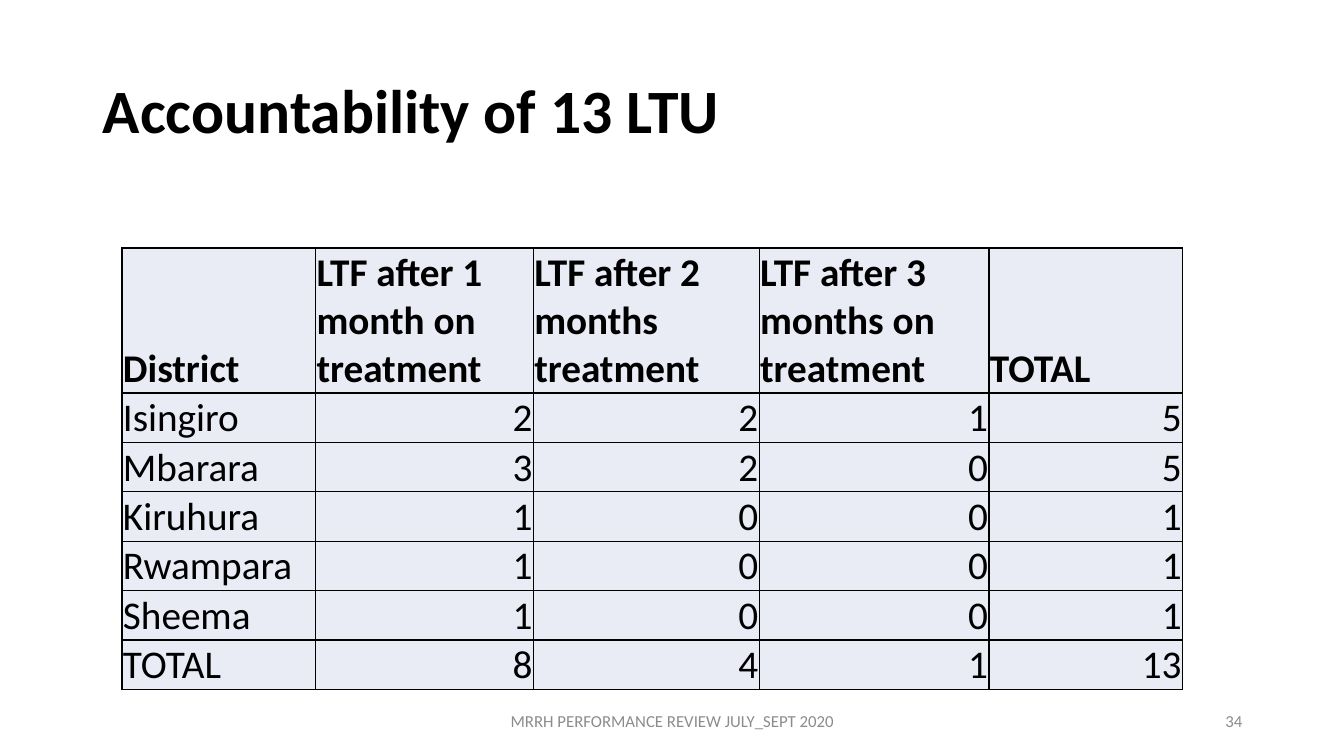
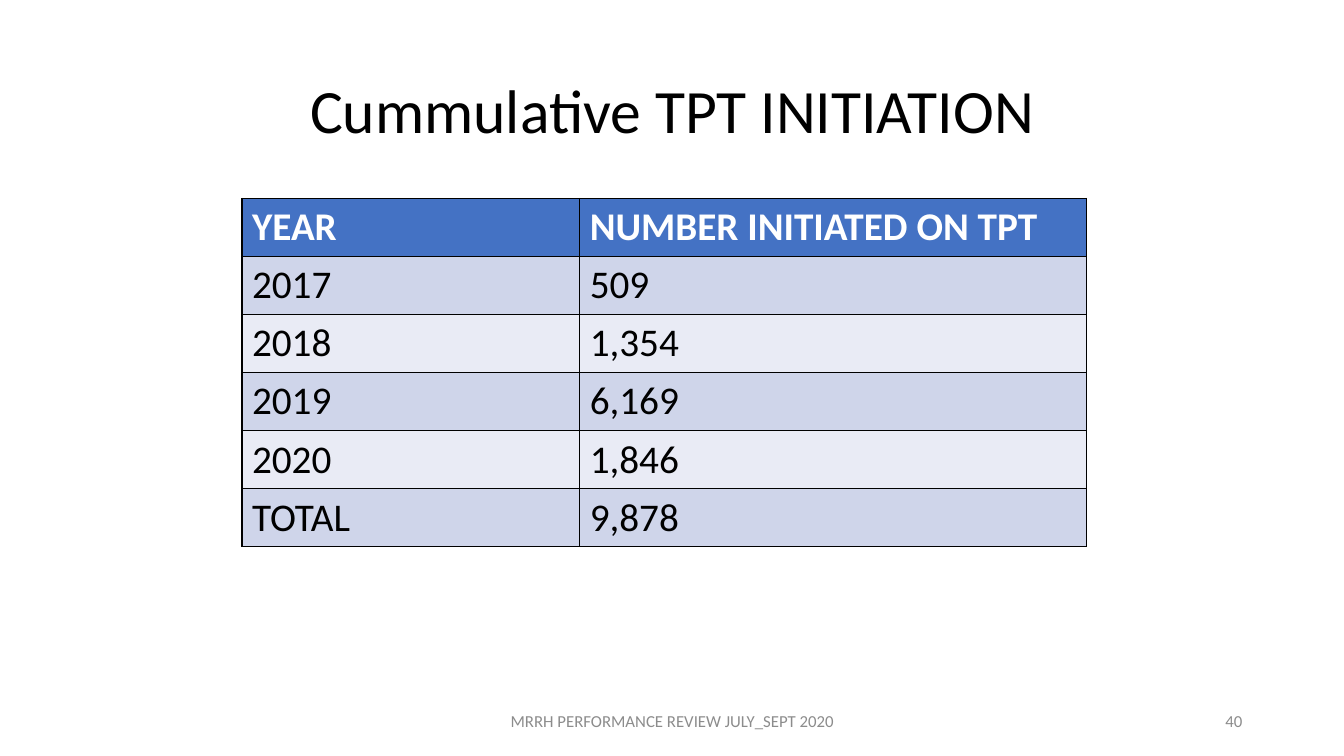
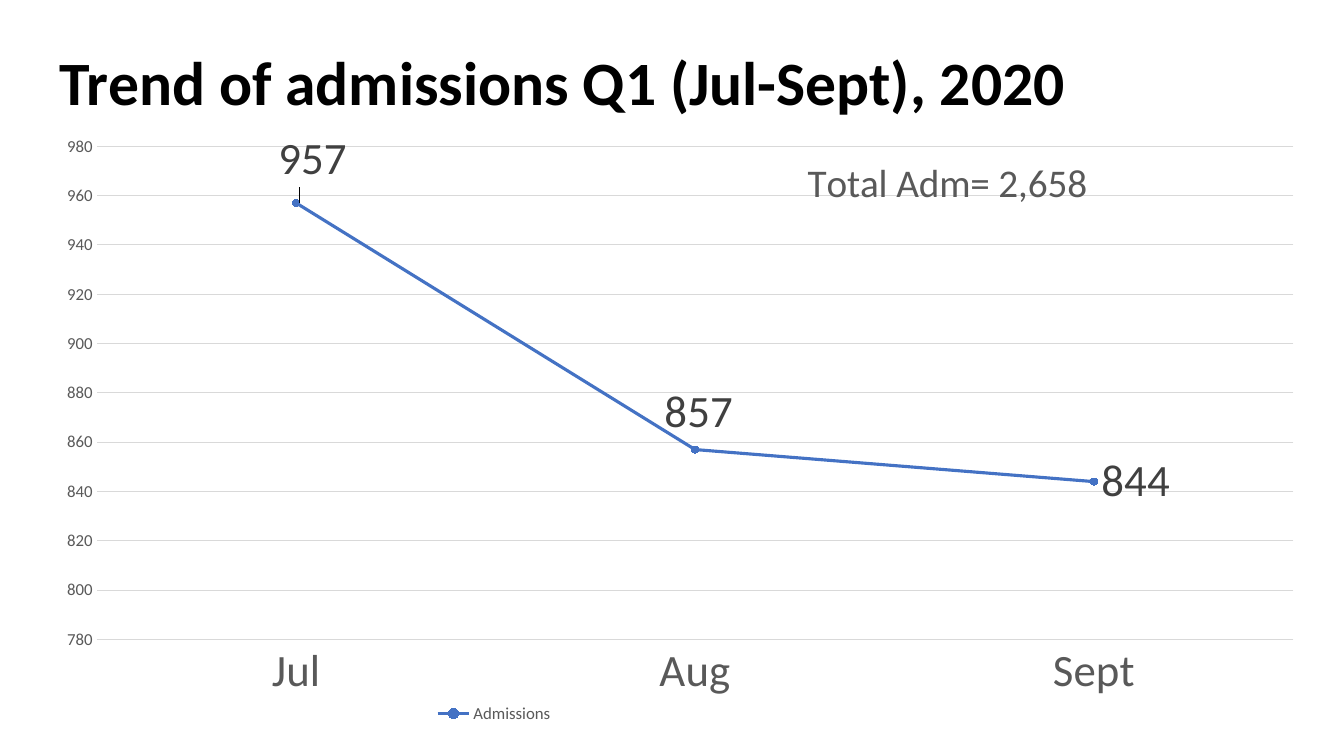
from lxml.etree import SubElement
from pptx import Presentation
from pptx.chart.data import CategoryChartData
from pptx.dml.color import RGBColor
from pptx.enum.chart import (XL_CHART_TYPE, XL_LABEL_POSITION, XL_LEGEND_POSITION,
                             XL_MARKER_STYLE, XL_TICK_MARK)
from pptx.enum.text import MSO_ANCHOR, PP_ALIGN
from pptx.oxml import parse_xml
from pptx.oxml.ns import nsdecls, qn
from pptx.util import Inches, Pt

BLACK = RGBColor(0x00, 0x00, 0x00)
WHITE = RGBColor(0xFF, 0xFF, 0xFF)
BLUE = RGBColor(0x44, 0x72, 0xC4)
BAND_DARK = RGBColor(0xCF, 0xD5, 0xEA)
BAND_LIGHT = RGBColor(0xE9, 0xEB, 0xF5)
FOOTER_GREY = RGBColor(0x8C, 0x8C, 0x8C)
AXIS_GREY = RGBColor(0x59, 0x59, 0x59)
LABEL_GREY = RGBColor(0x40, 0x40, 0x40)
GRID_GREY = RGBColor(0xD9, 0xD9, 0xD9)
FONT = "Calibri"

FOOTER = "MRRH PERFORMANCE REVIEW JULY_SEPT 2020"
TITLE_BOX = (0.92, 0.4, 11.5, 1.45)

LOST = [
    ("District", "LTF after 1 month on treatment", "LTF after 2 months treatment",
     "LTF after 3 months on treatment", "TOTAL"),
    ("Isingiro", "2", "2", "1", "5"),
    ("Mbarara", "3", "2", "0", "5"),
    ("Kiruhura", "1", "0", "0", "1"),
    ("Rwampara", "1", "0", "0", "1"),
    ("Sheema", "1", "0", "0", "1"),
    ("TOTAL", "8", "4", "1", "13"),
]
INITIATED = [
    ("YEAR", "NUMBER INITIATED ON TPT"),
    ("2017", "509"),
    ("2018", "1,354"),
    ("2019", "6,169"),
    ("2020", "1,846"),
    ("TOTAL", "9,878"),
]
ADMISSIONS = {"Jul": 957, "Aug": 857, "Sept": 844}
LABEL_SHIFTS = [(-0.02, -0.07), (-0.03, -0.06), None]


def style(font, size, color, bold=False):
    font.name, font.size, font.bold = FONT, Pt(size), bold
    font.color.rgb = color


def inches(box):
    return [Inches(length) for length in box]


def add_titled_slide(deck, title, box=TITLE_BOX, bold=True, align=PP_ALIGN.LEFT):
    slide = deck.slides.add_slide(deck.slide_layouts[5])
    heading = slide.shapes.title
    heading.left, heading.top, heading.width, heading.height = inches(box)
    frame = heading.text_frame
    frame.text = title
    frame.vertical_anchor = MSO_ANCHOR.MIDDLE
    paragraph = frame.paragraphs[0]
    paragraph.alignment, paragraph.line_spacing = align, 0.9
    style(paragraph.font, 44, BLACK, bold)
    return slide


def add_footer(slide, number):
    for text, left, width, align in ((FOOTER, 4.42, 4.5, PP_ALIGN.CENTER),
                                     (number, 9.42, 3, PP_ALIGN.RIGHT)):
        frame = slide.shapes.add_textbox(*inches((left, 6.95, width, 0.4))).text_frame
        frame.word_wrap = True
        frame.vertical_anchor = MSO_ANCHOR.MIDDLE
        frame.text = text
        frame.paragraphs[0].alignment = align
        style(frame.paragraphs[0].font, 12, FOOTER_GREY)


def add_borders(cell):
    properties = cell._tc.get_or_add_tcPr()
    for side in ("lnL", "lnR", "lnT", "lnB"):
        line = SubElement(properties, qn(f"a:{side}"), w=str(Pt(1)))
        SubElement(SubElement(line, qn("a:solidFill")), qn("a:srgbClr"), val=str(BLACK))


def add_grid(slide, rows, left, top, widths, heights, fills, head_color, compact=False):
    grid = slide.shapes.add_table(
        len(rows), len(widths), *inches((left, top, sum(widths), sum(heights)))).table
    grid.horz_banding = False
    for column, width in zip(grid.columns, widths):
        column.width = Inches(width)
    for r, texts in enumerate(rows):
        grid.rows[r].height = Inches(heights[r])
        for c, text in enumerate(texts):
            cell = grid.cell(r, c)
            cell.text = text
            add_borders(cell)
            cell.fill.solid()
            cell.fill.fore_color.rgb = fills[r]
            paragraph = cell.text_frame.paragraphs[0]
            style(paragraph.font, 28, BLACK if r else head_color, r == 0)
            if compact:
                cell.vertical_anchor = MSO_ANCHOR.BOTTOM
                cell.margin_left = cell.margin_right = cell.margin_top = Inches(0.01)
                cell.margin_bottom = 0
                if r and c:
                    paragraph.alignment = PP_ALIGN.RIGHT


def place(part, index, x, y, size=None, inner=False):
    for old in part.findall(qn("c:layout")):
        part.remove(old)
    values = {"layoutTarget": "inner"} if inner else {}
    if size or part.tag != qn("c:dLbl"):
        values.update(xMode="edge", yMode="edge")
    values.update(x=x, y=y)
    if size:
        values.update(w=size[0], h=size[1])
    fields = "".join(f'<c:{key} val="{value}"/>' for key, value in values.items())
    part.insert(index, parse_xml(
        f'<c:layout {nsdecls("c")}><c:manualLayout>{fields}</c:manualLayout></c:layout>'))


def add_point_labels(series):
    labels = series.data_labels
    labels.show_value = True
    labels.position = XL_LABEL_POSITION.RIGHT
    style(labels.font, 32, LABEL_GREY)
    for i, shift in enumerate(LABEL_SHIFTS):
        label = series.points[i].data_label
        style(label.font, 32, LABEL_GREY)
        label.position = XL_LABEL_POSITION.RIGHT
        if shift:
            place(series._element.findall(".//" + qn("c:dLbl"))[i], 1, *shift)
    series._element.find(qn("c:dLbls")).append(parse_xml(
        f'<c:extLst {nsdecls("c")}><c:ext uri="{{CE6537A1-D6FC-4f65-9D91-7224C49458BB}}" '
        'xmlns:c15="http://schemas.microsoft.com/office/drawing/2012/chart">'
        '<c15:showLeaderLines val="1"/></c:ext></c:extLst>'))


def add_trend(slide):
    data = CategoryChartData()
    data.categories = list(ADMISSIONS)
    data.add_series("Admissions", list(ADMISSIONS.values()))
    trend = slide.shapes.add_chart(
        XL_CHART_TYPE.LINE_MARKERS, *inches((0.38, 1.29, 12.6, 6.21)), data).chart
    style(trend.font, 10, BLACK)

    trend.has_title = True
    total = trend.chart_title.text_frame
    total.text = "Total Adm= 2,658"
    style(total.paragraphs[0].font, 28, AXIS_GREY)
    place(trend.chart_title._element, 1, 0.6, 0.03)
    place(trend._chartSpace.chart.plotArea, 0, 0.046, 0.026, (0.942, 0.788), inner=True)

    trend.has_legend = True
    trend.legend.position = XL_LEGEND_POSITION.BOTTOM
    trend.legend.include_in_layout = False
    style(trend.legend.font, 12, AXIS_GREY)
    place(trend.legend._element, 1, 0.31, 0.91)

    months, counts = trend.category_axis, trend.value_axis
    for axis, size in ((months, 32), (counts, 12)):
        axis.major_tick_mark = axis.minor_tick_mark = XL_TICK_MARK.NONE
        style(axis.tick_labels.font, size, AXIS_GREY)
    counts.minimum_scale, counts.maximum_scale, counts.major_unit = 780, 980, 20
    counts.format.line.fill.background()
    for line in (months.format.line, counts.major_gridlines.format.line):
        line.width = Pt(0.75)
        line.color.rgb = GRID_GREY

    trend.plots[0].vary_by_categories = False
    series = trend.plots[0].series[0]
    series.smooth = False
    series.format.line.width = Pt(2.25)
    series.format.line.color.rgb = BLUE
    series.marker.style = XL_MARKER_STYLE.CIRCLE
    series.marker.size = 5
    series.marker.format.fill.solid()
    series.marker.format.fill.fore_color.rgb = BLUE
    series.marker.format.line.color.rgb = BLUE
    add_point_labels(series)


def main():
    deck = Presentation()
    deck.slide_width, deck.slide_height = Inches(13.33), Inches(7.5)

    slide = add_titled_slide(deck, "Accountability of 13 LTU")
    add_grid(slide, LOST, 1.21, 2.46, (1.92, 2.16, 2.24, 2.28, 1.92),
             [1.44] + [0.49] * 6, [BAND_LIGHT] * 7, BLACK, compact=True)
    add_footer(slide, "34")

    slide = add_titled_slide(deck, "Cummulative TPT INITIATION", bold=False,
                             align=PP_ALIGN.CENTER)
    add_grid(slide, INITIATED, 2.4, 1.97, (3.35, 5.03), [0.57] * 6,
             [BLUE] + [BAND_DARK, BAND_LIGHT] * 2 + [BAND_DARK], WHITE)
    add_footer(slide, "40")

    slide = add_titled_slide(deck, "Trend of admissions Q1 (Jul-Sept), 2020",
                             (0.49, 0.4, 11.92, 0.89))
    add_trend(slide)
    deck.save("out.pptx")


if __name__ == "__main__":
    main()
